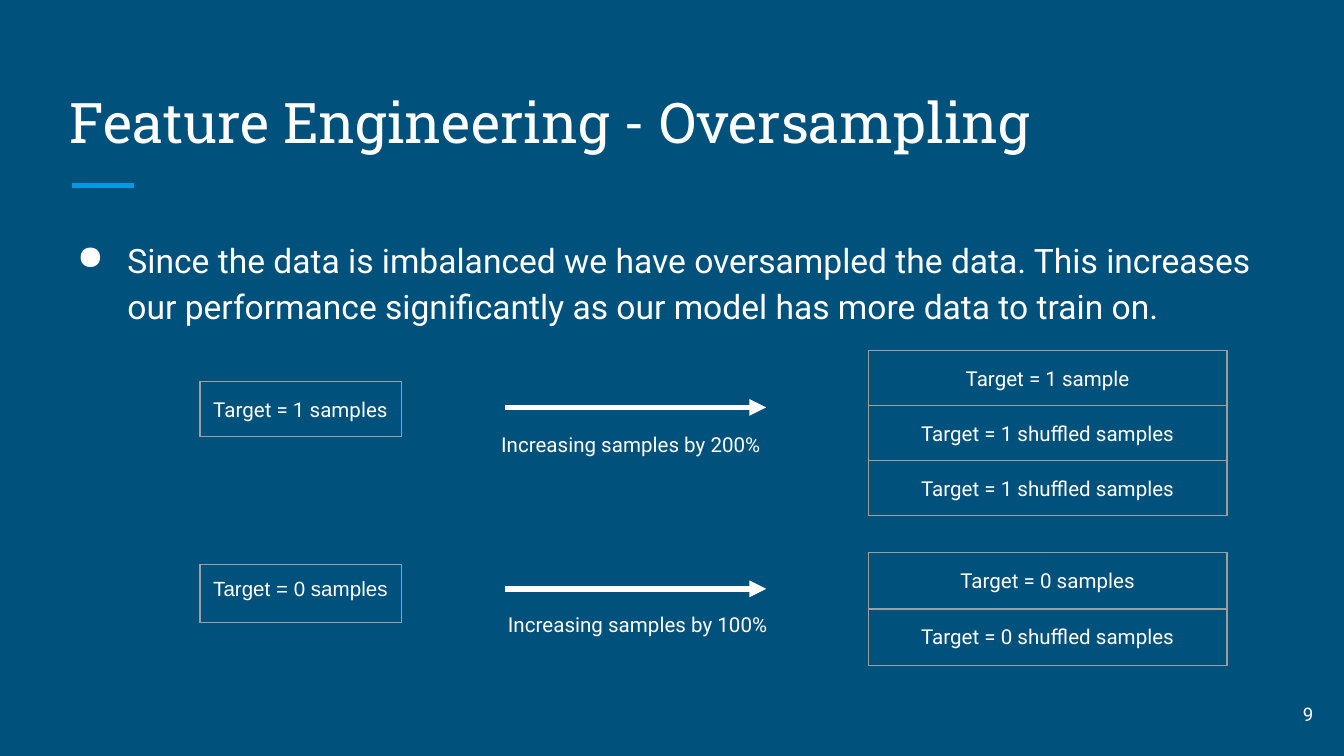
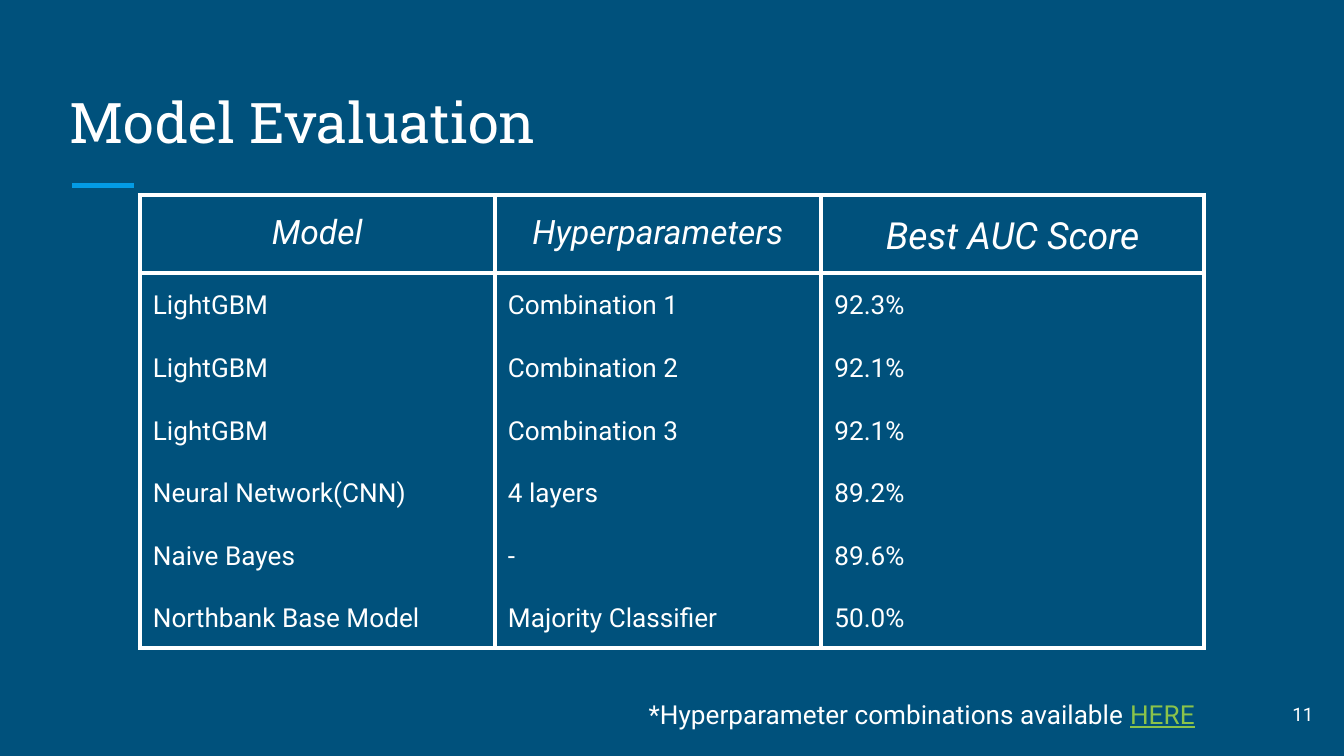
from dataclasses import dataclass

from lxml.etree import SubElement
from pptx import Presentation
from pptx.dml.color import RGBColor
from pptx.enum.shapes import MSO_CONNECTOR as Connector
from pptx.enum.text import MSO_ANCHOR as Anchor, PP_ALIGN as Align
from pptx.oxml import parse_xml
from pptx.oxml.ns import nsdecls, qn
from pptx.util import Cm, Pt


@dataclass(frozen=True)
class Theme:
    background: str = "00517C"
    text: str = "FFFFFF"
    accent: str = "039BE5"
    link: str = "8BC34A"
    grid: str = "9E9E9E"
    title_font: str = "Roboto Slab"
    body_font: str = "Roboto"
    plain_font: str = "Arial"
    title_size: float = 30
    score_size: float = 20
    body_size: float = 18
    table_size: float = 14
    small_size: float = 11
    number_size: float = 10
    rule_width: float = 3
    frame_width: float = 2.25
    grid_width: float = 0.75
    inset: float = 0.25
    spacing: float = 1.15
    gap: float = 12


THEME = Theme()
SPACED = {"line_spacing": THEME.spacing, "space_after": THEME.gap}
SMALL = {"size": THEME.small_size, **SPACED}
CENTERED = {**SMALL, "align": Align.CENTER}


def rgb(color):
    return RGBColor.from_string(color)


def add_span(para, text, size, font=THEME.body_font, color=THEME.text,
             italic=False, underline=False):
    span = para.add_run()
    span.text = text
    span.font.size = Pt(size)
    span.font.name = font
    span.font.color.rgb = rgb(color)
    span.font.italic = italic
    span.font.underline = underline


def write(frame, text, align=Align.LEFT, line_spacing=None, space_after=None, **style):
    para = frame.paragraphs[0]
    para.alignment = align
    if line_spacing:
        para.line_spacing = line_spacing
    if space_after is not None:
        para.space_after = Pt(space_after)
    add_span(para, text, **style)
    return para


def add_text(page, left, top, width, height, text, anchor=Anchor.TOP, **style):
    box = page.shapes.add_textbox(Cm(left), Cm(top), Cm(width), Cm(height))
    frame = box.text_frame
    frame.word_wrap = True
    frame.vertical_anchor = anchor
    frame.margin_left = frame.margin_right = Cm(THEME.inset)
    frame.margin_top = frame.margin_bottom = Cm(THEME.inset)
    return write(frame, text, **style)


def add_bullet(para):
    properties = para._p.get_or_add_pPr()
    properties.set("marL", str(Cm(1.27)))
    properties.set("indent", str(Cm(-0.95)))
    color = SubElement(properties, qn("a:buClr"))
    SubElement(color, qn("a:srgbClr"), val=THEME.text)
    SubElement(properties, qn("a:buChar"), char="●")


def add_line(page, left, right, y, color, arrow=False):
    line = page.shapes.add_connector(Connector.STRAIGHT, Cm(left), Cm(y), Cm(right), Cm(y))
    line.line.color.rgb = rgb(color)
    line.line.width = Pt(THEME.rule_width)
    if arrow:
        SubElement(line.line._get_or_add_ln(), qn("a:tailEnd"), type="triangle")
    SubElement(line._element.spPr, qn("a:effectLst"))


def set_borders(cell, color, width, sides):
    properties = cell._tc.get_or_add_tcPr()
    for position, side in enumerate("LRTB"):
        fill = (f'<a:solidFill><a:srgbClr val="{color}"/></a:solidFill>'
                if side in sides else "<a:noFill/>")
        border = parse_xml(f'<a:ln{side} {nsdecls("a")} w="{Pt(width)}">{fill}</a:ln{side}>')
        properties.insert(position, border)


def fill_cell(cell, text, color, width, sides="LRTB", **style):
    cell.fill.background()
    cell.margin_left = cell.margin_right = Cm(THEME.inset)
    cell.margin_top = cell.margin_bottom = Cm(THEME.inset)
    write(cell.text_frame, text, **style)
    set_borders(cell, color, width, sides)


def add_table(page, left, top, widths, heights):
    table = page.shapes.add_table(
        len(heights), len(widths), Cm(left), Cm(top), Cm(sum(widths)), Cm(sum(heights))
    ).table
    table.first_row = table.horz_banding = False
    for column, width in zip(table.columns, widths):
        column.width = Cm(width)
    for row, height in zip(table.rows, heights):
        row.height = Cm(height)
    return table


def add_stack(page, left, top, width, heights, labels, **style):
    table = add_table(page, left, top, [width], heights)
    for row, label in enumerate(labels):
        fill_cell(table.cell(row, 0), label, THEME.grid, THEME.grid_width, **style)


def add_page(deck, title, number):
    page = deck.slides.add_slide(deck.slide_layouts[6])
    add_line(page, 1.37, 2.54, 3.51, THEME.accent)
    add_text(page, 1.07, 1.27, 23.24, 1.9, title, anchor=Anchor.BOTTOM,
             size=THEME.title_size, font=THEME.title_font)
    add_text(page, 23.55, 12.95, 1.52, 1.09, number, anchor=Anchor.MIDDLE,
             align=Align.RIGHT, size=THEME.number_size)
    return page


def build_oversampling(deck):
    page = add_page(deck, "Feature Engineering - Oversampling", "9")
    reason = add_text(
        page, 0.89, 4.17, 23.24, 2.11,
        "Since the data is imbalanced we have oversampled the data. This increases "
        "our performance significantly as our model has more data to train on.",
        size=THEME.body_size, line_spacing=THEME.spacing,
    )
    add_bullet(reason)

    for y in (7.7, 11.13):
        add_line(page, 9.55, 14.48, y, THEME.text, arrow=True)
    add_text(page, 9.22, 7.85, 5.61, 0.99, "Increasing samples by 200%", **SMALL)
    add_text(page, 9.35, 11.25, 5.61, 0.99, "Increasing samples by 100%", **SMALL)

    add_stack(page, 3.78, 7.21, 3.81, [0.97], ["Target = 1 samples"], **SMALL)
    add_stack(page, 3.78, 10.67, 3.81, [1.09], ["Target = 0 samples"],
              size=THEME.small_size, font=THEME.plain_font)
    add_stack(page, 16.41, 6.63, 6.78, [0.94, 0.86, 0.94],
              ["Target = 1 sample"] + ["Target = 1 shuffled samples"] * 2, **CENTERED)
    add_stack(page, 16.41, 10.44, 6.78, [1.07] * 2,
              ["Target = 0 samples", "Target = 0 shuffled samples"], **CENTERED)


def build_evaluation(deck):
    page = add_page(deck, "Model Evaluation", "11")
    headers = [("Model", THEME.body_size), ("Hyperparameters", THEME.body_size),
               ("Best AUC Score", THEME.score_size)]
    results = [
        ("LightGBM", "Combination 1", "92.3%"),
        ("LightGBM", "Combination 2", "92.1%"),
        ("LightGBM", "Combination 3", "92.1%"),
        ("Neural Network(CNN)", "4 layers", "89.2%"),
        ("Naive Bayes", "-", "89.6%"),
        ("Northbank Base Model", "Majority Classifier", "50.0%"),
    ]
    table = add_table(page, 2.64, 3.68, [6.71, 6.17, 7.24], [1.07] * (len(results) + 1))
    for column, (header, size) in enumerate(headers):
        fill_cell(table.cell(0, column), header, THEME.text, THEME.frame_width,
                  size=size, italic=True, align=Align.CENTER, **SPACED)
    for row, result in enumerate(results, 1):
        sides = "LR" + "T" * (row == 1) + "B" * (row == len(results))
        for column, value in enumerate(result):
            fill_cell(table.cell(row, column), value, THEME.text, THEME.frame_width,
                      sides, size=THEME.table_size, **SPACED)

    note = add_text(page, 12.01, 12.95, 12.29, 1.12,
                    "*Hyperparameter combinations available ", size=THEME.table_size)
    add_span(note, "HERE", THEME.table_size, color=THEME.link, underline=True)


def main():
    deck = Presentation()
    deck.slide_width, deck.slide_height = Cm(25.4), Cm(14.29)
    fill = deck.slide_master.background.fill
    fill.solid()
    fill.fore_color.rgb = rgb(THEME.background)
    build_oversampling(deck)
    build_evaluation(deck)
    deck.save("out.pptx")


if __name__ == "__main__":
    main()
